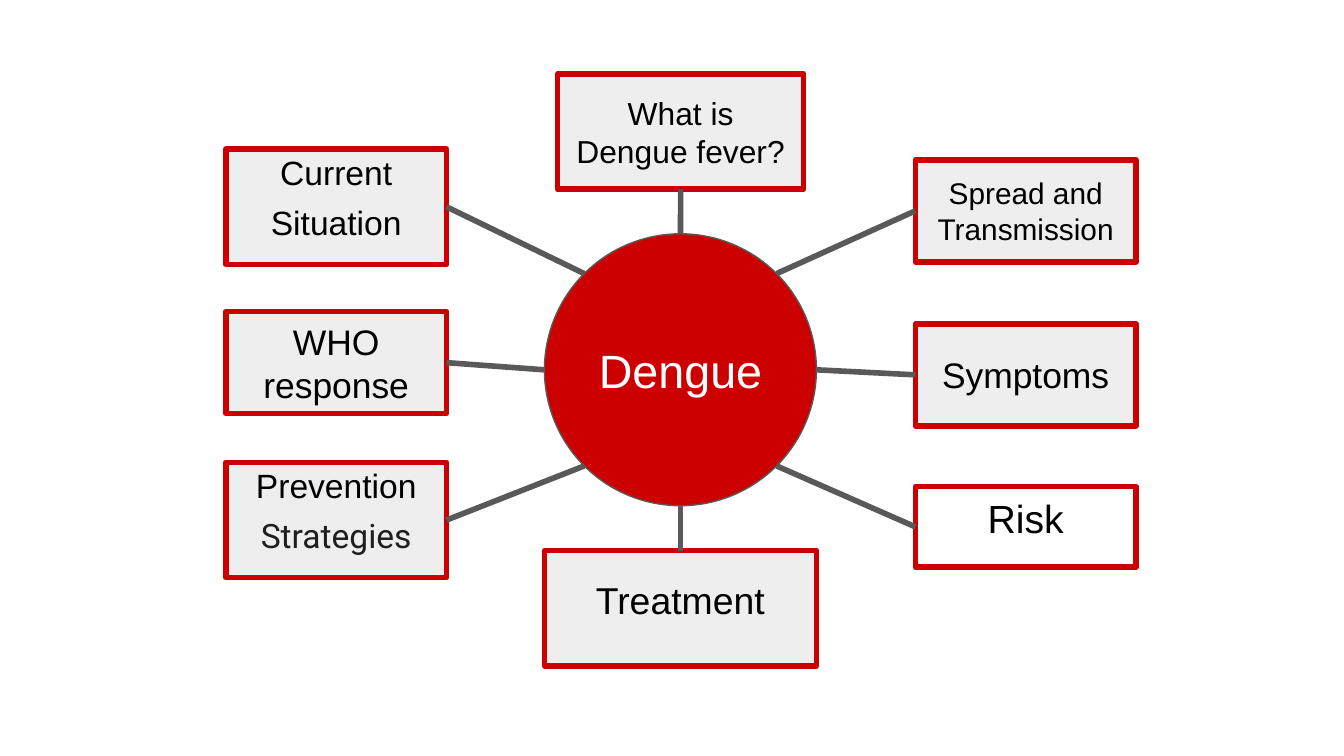
from dataclasses import dataclass
from math import cos, radians, sin

from lxml import etree
from pptx import Presentation
from pptx import util as u
from pptx.dml.color import RGBColor
from pptx.enum import shapes, text
from pptx.oxml.ns import qn

RED = RGBColor(0xCC, 0x00, 0x00)
PALE = RGBColor(0xEE, 0xEE, 0xEE)
GREY = RGBColor(0x59, 0x59, 0x59)
CHARCOAL = RGBColor(0x1F, 0x1F, 0x1F)
BLACK = RGBColor(0, 0, 0)
WHITE = RGBColor(0xFF, 0xFF, 0xFF)

CENTER_X, CENTER_Y, RADIUS = 12.86, 6.99, 2.57
LEFT, RIGHT, SIDE_WIDTH = 4.27, 17.3, 4.17
TALL, MEDIUM, LOW = 2.18, 1.93, 1.52
INSET, RAISED = 0.25, 0.8


@dataclass(frozen=True)
class Topic:
    label: str
    angle: int
    left: float
    top: float
    width: float
    height: float
    size: int
    raised: bool = False
    filled: bool = True
    ending: str = ""

    def anchor(self) -> tuple[float, float]:
        middle_x = self.left + self.width / 2
        middle_y = self.top + self.height / 2
        if self.angle == 90:
            return middle_x, self.top
        if self.angle == 270:
            return middle_x, self.top + self.height
        if 90 < self.angle < 270:
            return self.left + self.width, middle_y
        return self.left, middle_y


TOPICS = [
    Topic("What is Dengue fever?", 270, 10.54, 1.4, 4.65, TALL, 17),
    Topic("Spread and Transmission", 315, RIGHT, 3.02, SIDE_WIDTH, MEDIUM, 16),
    Topic("Symptoms", 0, RIGHT, 6.12, SIDE_WIDTH, MEDIUM, 19),
    Topic("Risk", 45, RIGHT, 9.2, SIDE_WIDTH, LOW, 21, raised=True, filled=False),
    Topic("Treatment", 90, 10.29, 10.41, 5.14, TALL, 20, raised=True),
    Topic("Prevention ", 135, LEFT, 8.74, SIDE_WIDTH, TALL, 18, raised=True, ending="Strategies"),
    Topic("WHO response", 180, LEFT, 5.89, SIDE_WIDTH, MEDIUM, 19),
    Topic("Current Situation", 225, LEFT, 2.82, SIDE_WIDTH, TALL, 18, raised=True),
]


def add_run(paragraph, label: str, *, size: int, color: RGBColor, font: str = "Arial") -> None:
    run = paragraph.add_run()
    run.text = label
    run.font.name = font
    run.font.size = u.Pt(size)
    run.font.color.rgb = color


def add_box(slide, kind, left: float, top: float, width: float, height: float, *,
            fill: RGBColor | None, line: RGBColor, line_width: float, bottom: float = INSET):
    shape = slide.shapes.add_shape(kind, u.Cm(left), u.Cm(top), u.Cm(width), u.Cm(height))
    shape.shadow.inherit = False
    if fill is None:
        shape.fill.background()
    else:
        shape.fill.solid()
        shape.fill.fore_color.rgb = fill
    shape.line.color.rgb = line
    shape.line.width = u.Pt(line_width)
    frame = shape.text_frame
    frame.word_wrap = True
    frame.vertical_anchor = text.MSO_ANCHOR.MIDDLE
    frame.margin_left = frame.margin_right = frame.margin_top = u.Cm(INSET)
    frame.margin_bottom = u.Cm(bottom)
    paragraph = frame.paragraphs[0]
    paragraph.alignment = text.PP_ALIGN.CENTER
    return paragraph


def add_topic(slide, topic: Topic) -> None:
    paragraph = add_box(
        slide, shapes.MSO_SHAPE.RECTANGLE, topic.left, topic.top, topic.width, topic.height,
        fill=PALE if topic.filled else None, line=RED, line_width=3,
        bottom=RAISED if topic.raised else INSET)
    if topic.raised:
        paragraph.line_spacing = 1.24
    add_run(paragraph, topic.label, size=topic.size, color=BLACK)
    if topic.ending:
        add_run(paragraph, topic.ending, size=topic.size, color=CHARCOAL, font="Roboto")


def add_spoke(slide, topic: Topic) -> None:
    angle = radians(topic.angle)
    start_x = CENTER_X + RADIUS * cos(angle)
    start_y = CENTER_Y + RADIUS * sin(angle)
    end_x, end_y = topic.anchor()
    connector = slide.shapes.add_connector(
        shapes.MSO_CONNECTOR.STRAIGHT, u.Cm(start_x), u.Cm(start_y), u.Cm(end_x), u.Cm(end_y))
    connector.line.color.rgb = GREY
    connector.line.width = u.Pt(3)
    etree.SubElement(connector._element.spPr, qn("a:effectLst"))


def main() -> None:
    presentation = Presentation()
    presentation.slide_width = u.Cm(25.4)
    presentation.slide_height = u.Cm(14.29)
    slide = presentation.slides.add_slide(presentation.slide_layouts[6])

    hub = add_box(slide, shapes.MSO_SHAPE.OVAL, CENTER_X - RADIUS, CENTER_Y - RADIUS,
                  2 * RADIUS, 2 * RADIUS, fill=RED, line=GREY, line_width=0.75)
    add_run(hub, "Dengue", size=25, color=WHITE)
    for topic in TOPICS:
        add_topic(slide, topic)
    for topic in TOPICS:
        add_spoke(slide, topic)
    presentation.save("out.pptx")


if __name__ == "__main__":
    main()
